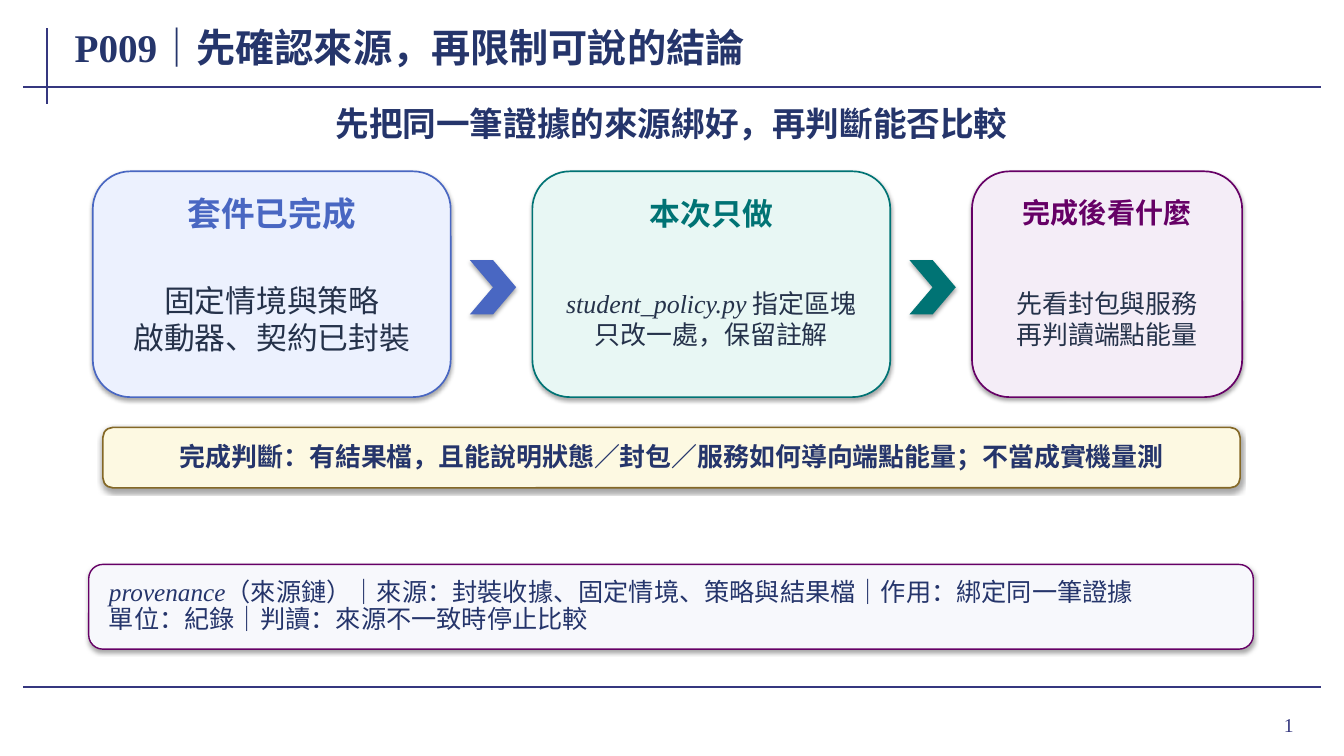
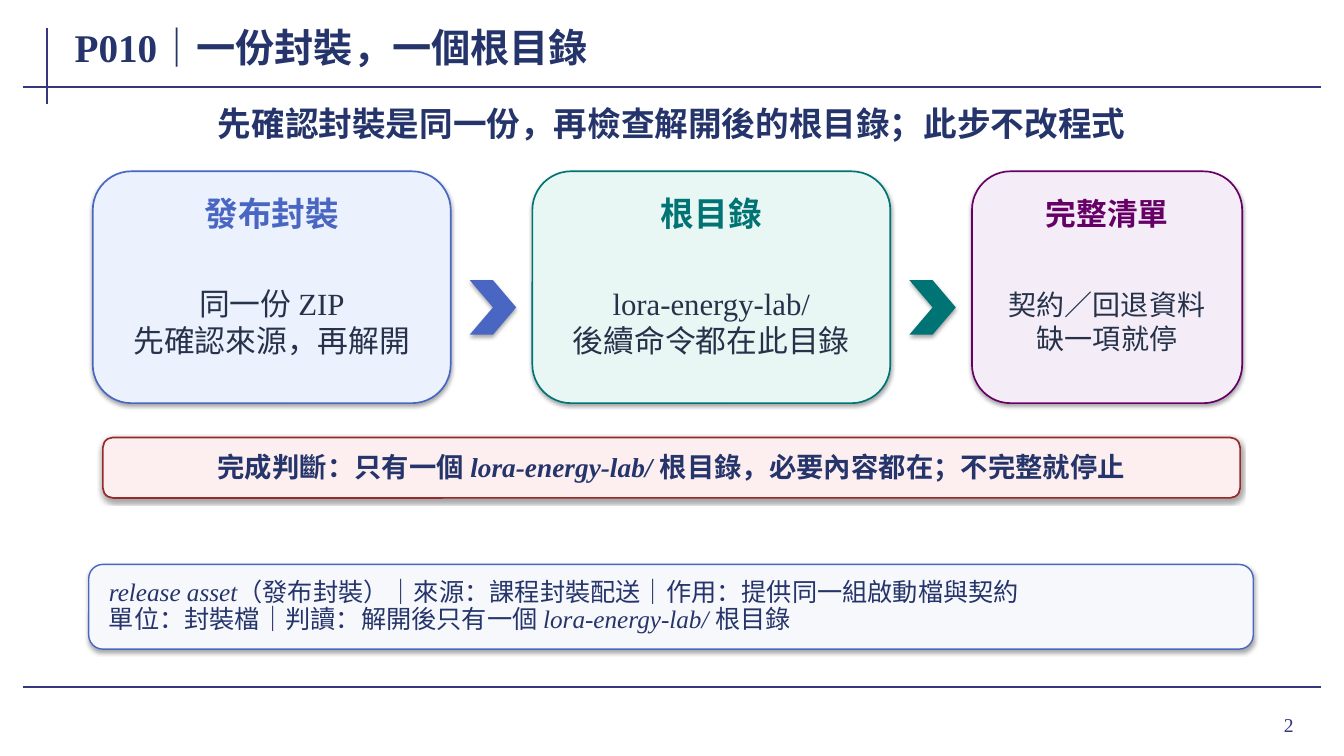
from dataclasses import dataclass

from pptx import Presentation
from pptx.dml.color import RGBColor
from pptx.enum.shapes import MSO_CONNECTOR, MSO_SHAPE
from pptx.enum.text import MSO_ANCHOR, MSO_AUTO_SIZE, PP_ALIGN
from pptx.oxml.xmlchemy import OxmlElement
from pptx.util import Inches, Pt

LINE = MSO_CONNECTOR.STRAIGHT
ROUNDED, CHEVRON = MSO_SHAPE.ROUNDED_RECTANGLE, MSO_SHAPE.CHEVRON
MIDDLE = MSO_ANCHOR.MIDDLE
GROW = MSO_AUTO_SIZE.SHAPE_TO_FIT_TEXT
LEFT, CENTER, RIGHT = PP_ALIGN.LEFT, PP_ALIGN.CENTER, PP_ALIGN.RIGHT


@dataclass(frozen=True)
class Theme:
    font: str = "Times New Roman"
    rule: str = "35377F"
    heading: str = "25356B"
    body: str = "25324A"
    note_fill: str = "F7F8FC"
    blue: tuple = ("4967C2", "ECF1FE")
    teal: tuple = ("007374", "E8F7F4")
    purple: tuple = ("660066", "F4EDF7")
    amber: tuple = ("846826", "FDF9E2")
    red: tuple = ("992A2A", "FDEFEF")
    title: float = 28
    lead: float = 24
    note: float = 18
    number: float = 14


T = Theme()
CARD_LEFT, CARD_TOP = 0.92, 1.7
CARD_WIDTHS = (3.55, 3.55, 2.68)
CARD_COLORS = (T.blue, T.teal, T.purple)
CARD_GAP = 0.81
RULES = [(0.47, 0.28, 0.47, 1.03), (0.23, 0.86, 13.1, 0.86), (0.23, 6.82, 13.1, 6.82)]

# Asterisks enclose italic text.
SLIDES = [
    {
        "title": "P009｜先確認來源，再限制可說的結論",
        "lead": "先把同一筆證據的來源綁好，再判斷能否比較",
        "card_height": 2.24,
        "chevron_top": 2.58,
        "cards": [
            ("套件已完成", 24, ["固定情境與策略", "啟動器、契約已封裝"], 22),
            ("本次只做", 22, ["*student_policy.py* 指定區塊", "只改一處，保留註解"], 18.5),
            ("完成後看什麼", 20, ["先看封包與服務", "再判讀端點能量"], 18.5),
        ],
        "check": "完成判斷：有結果檔，且能說明狀態／封包／服務如何導向端點能量；不當成實機量測",
        "check_top": 4.24,
        "check_size": 18.5,
        "check_colors": T.amber,
        "note": [
            "*provenance*（來源鏈）｜來源：封裝收據、固定情境、策略與結果檔｜作用：綁定同一筆證據",
            "單位：紀錄｜判讀：來源不一致時停止比較",
        ],
        "note_line": T.purple[0],
    },
    {
        "title": "P010｜一份封裝，一個根目錄",
        "lead": "先確認封裝是同一份，再檢查解開後的根目錄；此步不改程式",
        "card_height": 2.3,
        "chevron_top": 2.78,
        "cards": [
            ("發布封裝", 24, ["同一份 ZIP", "先確認來源，再解開"], 22),
            ("根目錄", 24, ["lora-energy-lab/", "後續命令都在此目錄"], 22),
            ("完整清單", 22, ["契約／回退資料", "缺一項就停"], 20),
        ],
        "check": "完成判斷：只有一個 *lora-energy-lab/* 根目錄，必要內容都在；不完整就停止",
        "check_top": 4.34,
        "check_size": 19.5,
        "check_colors": T.red,
        "note": [
            "*release asset*（發布封裝）｜來源：課程封裝配送｜作用：提供同一組啟動檔與契約",
            "單位：封裝檔｜判讀：解開後只有一個 *lora-energy-lab/* 根目錄",
        ],
        "note_line": T.blue[0],
    },
]


def rgb(color):
    return RGBColor.from_string(color)


def child(parent, tag, **attrs):
    el = OxmlElement(tag)
    for name, value in attrs.items():
        el.set(name, str(value))
    parent.append(el)
    return el


def set_font(p, size, color, bold=False):
    f = p.font
    f.name, f.size, f.bold = T.font, Pt(size), bold
    f.color.rgb = rgb(color)


def write(sp, lines, size, color, bold=False, align=CENTER, inset=(0.02, 0.01), spacing=None):
    tf = sp.text_frame
    tf.word_wrap, tf.vertical_anchor = True, MIDDLE
    tf.margin_left = tf.margin_right = Inches(inset[0])
    tf.margin_top = tf.margin_bottom = Inches(inset[1])
    for i, line in enumerate(lines):
        p = tf.add_paragraph() if i else tf.paragraphs[0]
        p.alignment = align
        if spacing:
            p.line_spacing = spacing
        set_font(p, size, color, bold)
        for j, part in enumerate(line.split("*")):
            if part:
                r = p.add_run()
                r.text = part
                if j % 2:
                    r.font.italic = True


def add_text(s, box, lines, size, color, grow=True, **style):
    sp = s.shapes.add_textbox(*map(Inches, box))
    write(sp, lines, size, color, **style)
    if grow:
        sp.text_frame.auto_size = GROW


def add_panel(s, kind, box, fill, line=None, width=1.2):
    sp = s.shapes.add_shape(kind, *map(Inches, box))
    sp.fill.solid()
    sp.fill.fore_color.rgb = rgb(fill)
    if line:
        sp.line.color.rgb = rgb(line)
        sp.line.width = Pt(width)
    else:
        sp.line.fill.background()
    effects = child(sp.element.spPr, "a:effectLst")
    shadow = child(effects, "a:outerShdw", blurRad=Pt(3.1), dist=Pt(1.8),
                   dir=5400000, algn="ctr", rotWithShape=0)
    black = child(shadow, "a:srgbClr", val="000000")
    child(black, "a:alpha", val=35000)
    return sp


def add_frame(s, number, title):
    for ends in RULES:
        rule = s.shapes.add_connector(LINE, *map(Inches, ends))
        rule.line.color.rgb = rgb(T.rule)
        rule.line.width = Pt(1.5)
        child(rule.element.spPr, "a:effectLst")
    sp = s.shapes.add_textbox(*map(Inches, (11.96, 6.93, 0.97, 0.52)))
    sp.text_frame.vertical_anchor = MIDDLE
    sp.text_frame.word_wrap = True
    p = sp.text_frame.paragraphs[0]
    p.alignment = RIGHT
    set_font(p, T.number, T.rule)
    field = child(p._p, "a:fld", id="{B6F15528-21DE-4FAA-801E-634DDDAF4B2B}", type="slidenum")
    child(field, "a:rPr", lang="en-US")
    child(field, "a:t").text = str(number)
    add_text(s, (0.72, 0.2, 10.35, 0.53), [title], T.title, T.heading,
             grow=False, bold=True, align=LEFT, inset=(0.02, 0))


def add_cards(s, cards, height, chevron_top):
    x = CARD_LEFT
    for i, (card, w, (accent, fill)) in enumerate(zip(cards, CARD_WIDTHS, CARD_COLORS)):
        heading, heading_size, lines, size = card
        add_panel(s, ROUNDED, (x, CARD_TOP, w, height), fill, accent)
        add_text(s, (x + 0.18, CARD_TOP + 0.2, w - 0.36, 0.42), [heading],
                 heading_size, accent, bold=True)
        add_text(s, (x + 0.22, CARD_TOP + 0.88, w - 0.44, height - 1.08), lines, size, T.body)
        if i < len(cards) - 1:
            add_panel(s, CHEVRON, (x + w + 0.19, chevron_top, 0.46, 0.54), accent)
        x += w + CARD_GAP


def build_slide(prs, number, d):
    s = prs.slides.add_slide(prs.slide_layouts[6])
    add_frame(s, number, d["title"])
    add_text(s, (1.02, 1.02, 11.28, 0.4), [d["lead"]], T.lead, T.heading, bold=True)
    add_cards(s, d["cards"], d["card_height"], d["chevron_top"])
    accent, fill = d["check_colors"]
    check = add_panel(s, ROUNDED, (1.02, d["check_top"], 11.28, 0.6), fill, accent)
    write(check, [d["check"]], d["check_size"], T.heading, bold=True,
          inset=(0.1, 0.04), spacing=0.95)
    note = add_panel(s, ROUNDED, (0.88, 5.6, 11.55, 0.84), T.note_fill, d["note_line"], 1)
    write(note, d["note"], T.note, T.heading, align=LEFT, inset=(0.16, 0.04), spacing=0.9)


def main():
    prs = Presentation()
    prs.slide_width, prs.slide_height = Inches(13.33), Inches(7.5)
    for number, d in enumerate(SLIDES, 1):
        build_slide(prs, number, d)
    prs.save("out.pptx")


if __name__ == "__main__":
    main()
